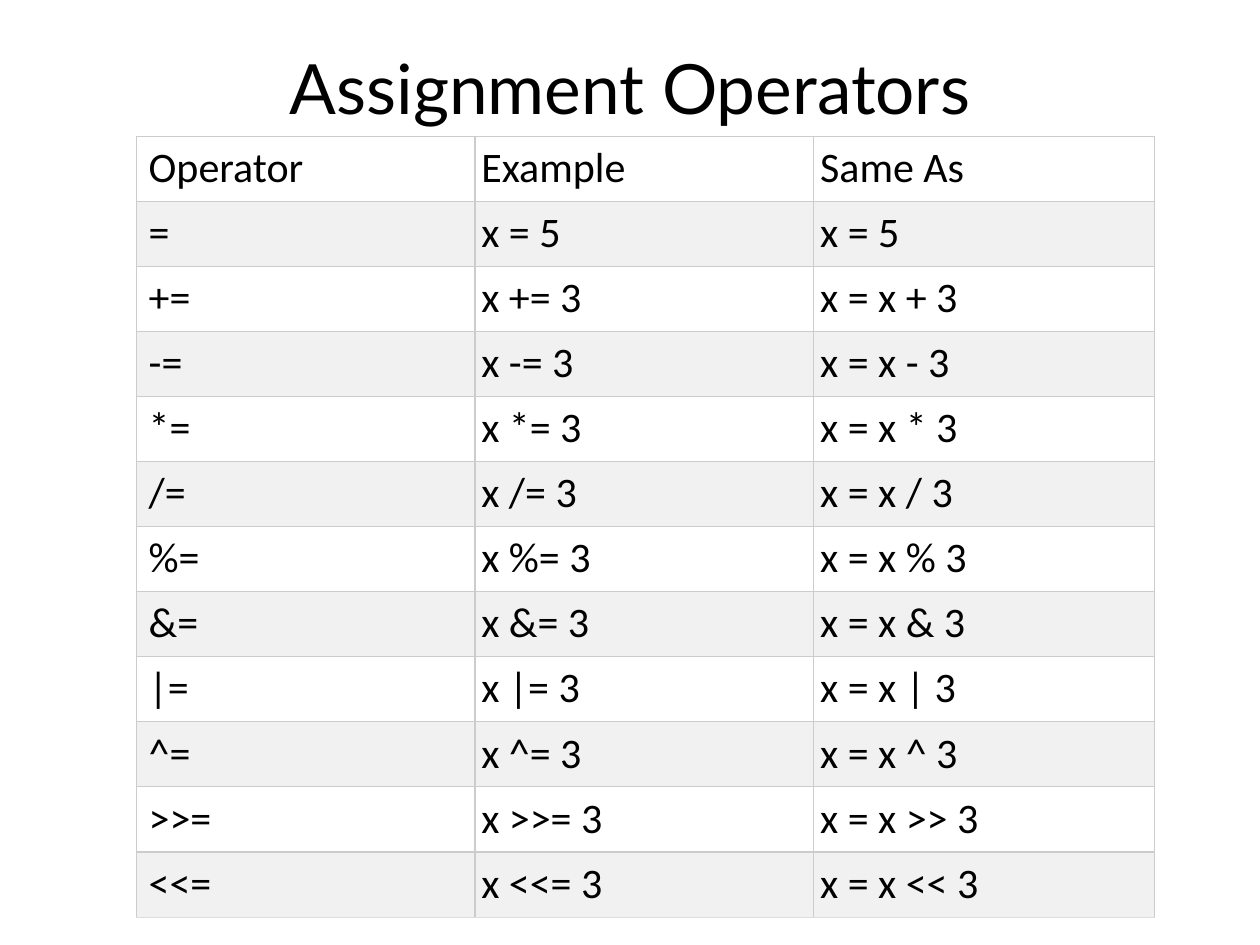
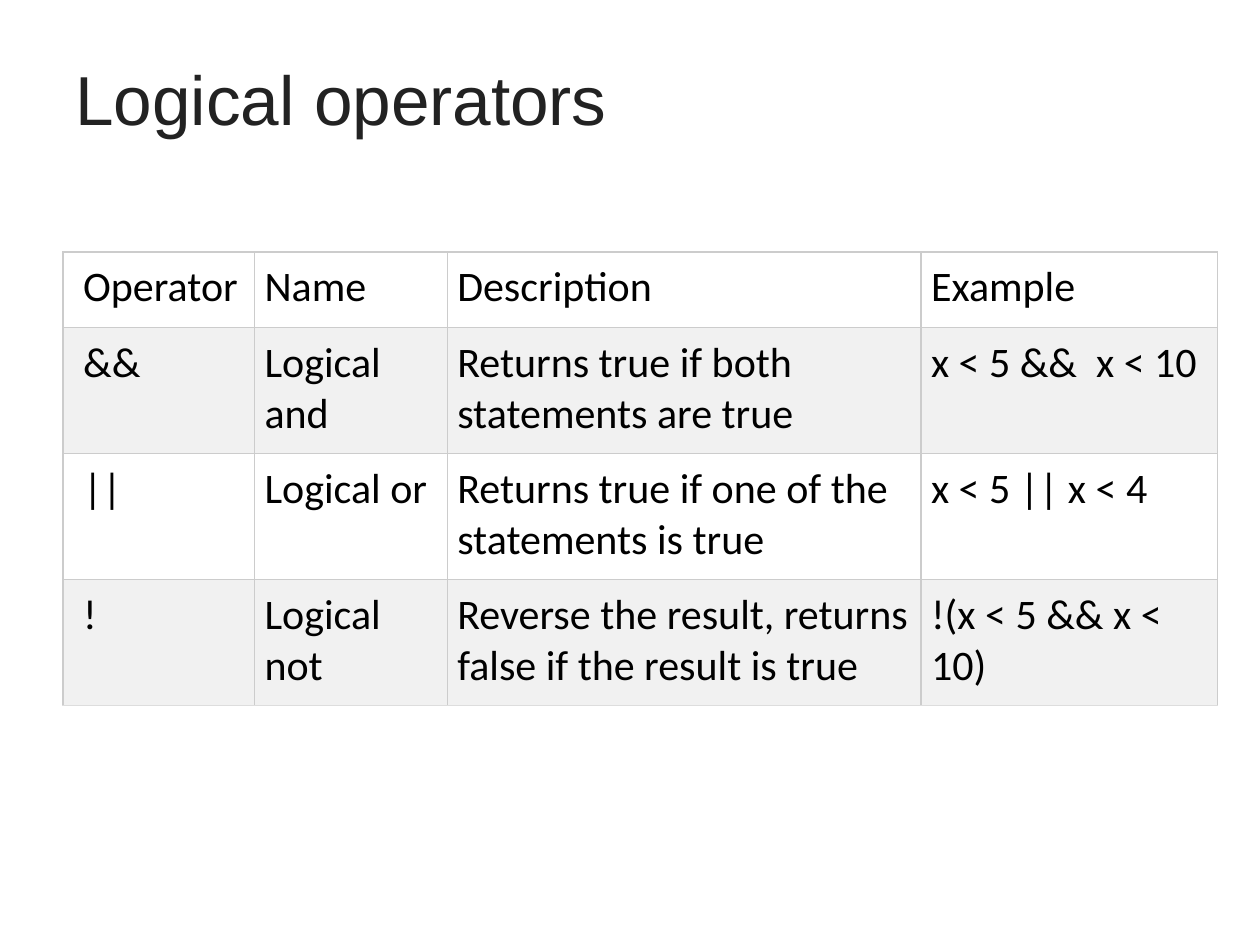
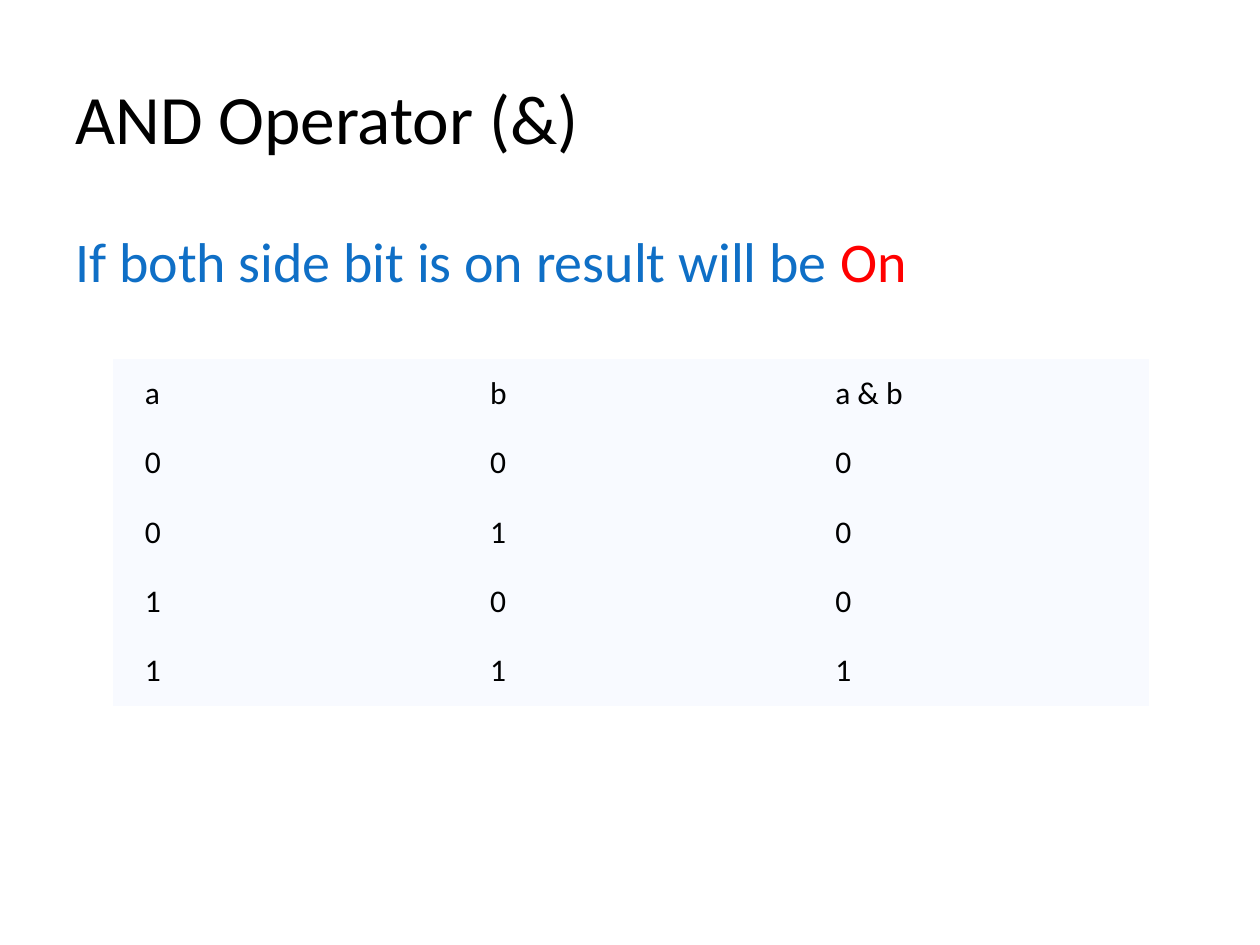
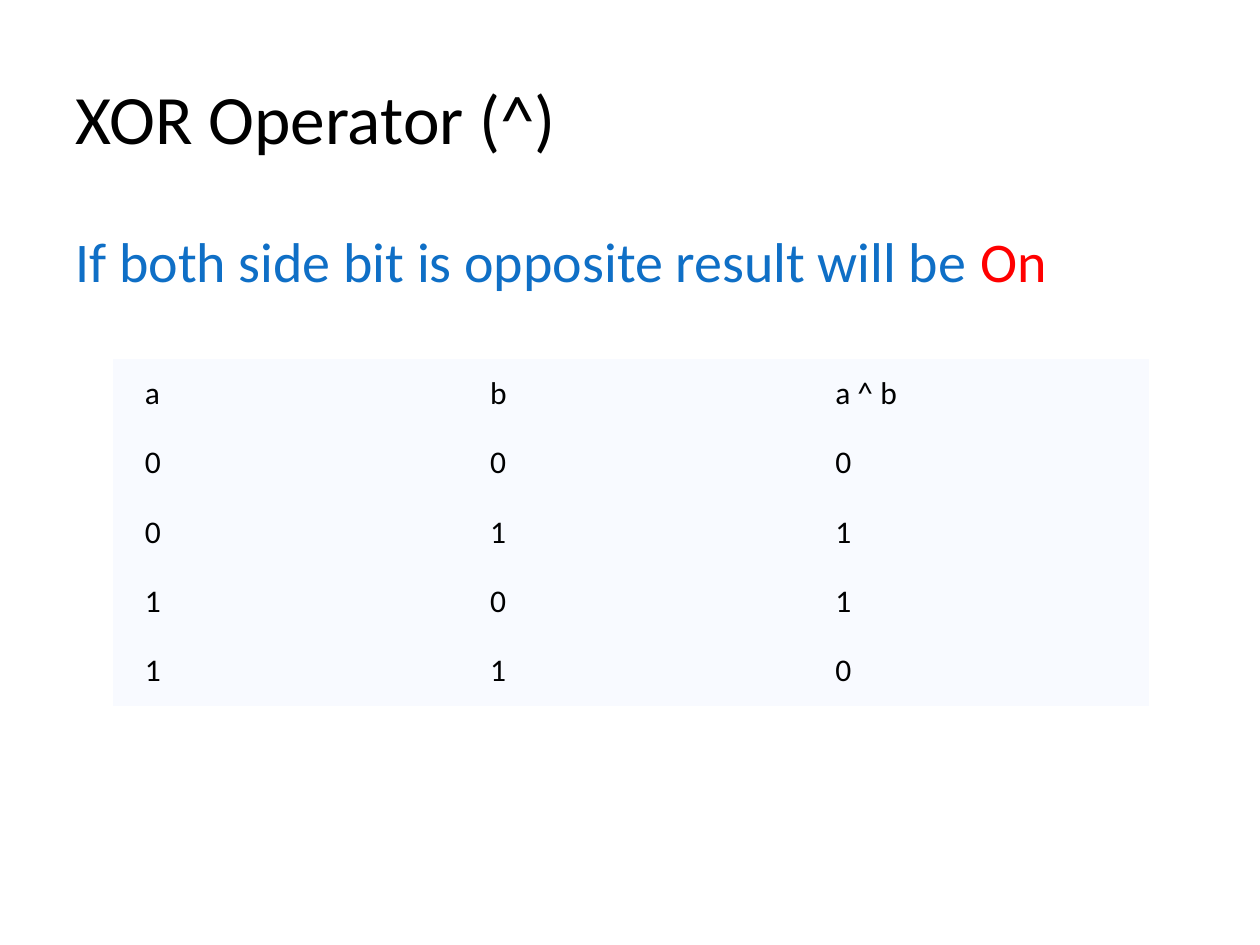
from itertools import product
from pptx import Presentation
from pptx.dml.color import RGBColor
from pptx.enum.text import MSO_ANCHOR, PP_ALIGN
from pptx.oxml import parse_xml
from pptx.oxml.ns import nsdecls
from pptx.util import Inches, Pt

BLACK = RGBColor(0x00, 0x00, 0x00)
DARK = RGBColor(0x22, 0x22, 0x22)
WHITE = RGBColor(0xFF, 0xFF, 0xFF)
GREY = RGBColor(0xF1, 0xF1, 0xF1)
RULE = RGBColor(0xCC, 0xCC, 0xCC)
BASE = RGBColor(0xDD, 0xDD, 0xDD)
PALE = RGBColor(0xF8, 0xFA, 0xFF)
BLUE = RGBColor(0x0F, 0x6F, 0xC6)
RED = RGBColor(0xFF, 0x00, 0x00)

LEFT, WIDTH = 0.5, 9
TITLE_TOP = 0.3

deck = Presentation()
deck.slide_width, deck.slide_height = Inches(10), Inches(7.5)


def new_slide():
    return deck.slides.add_slide(deck.slide_layouts[6])


def style(run, size, color, font="Calibri"):
    run.font.size = Pt(size)
    run.font.name = font
    run.font.color.rgb = color


def text_box(slide, top, height, anchor):
    """Add a wrapping text box across the shared margins."""
    box = slide.shapes.add_textbox(
        Inches(LEFT), Inches(top), Inches(WIDTH), Inches(height))
    frame = box.text_frame
    frame.word_wrap = True
    frame.vertical_anchor = anchor
    return frame


def add_title(slide, text, height, font="Calibri", color=BLACK,
              align=PP_ALIGN.LEFT):
    frame = text_box(slide, TITLE_TOP, height, MSO_ANCHOR.MIDDLE)
    frame.text = text
    para = frame.paragraphs[0]
    para.alignment = align
    style(para.runs[0], 39.6, color, font)


def add_rule(slide, text, result):
    """Add the sentence that states when the bit is on."""
    para = text_box(slide, 1.75, 4.95, MSO_ANCHOR.TOP).paragraphs[0]
    for part, color in ((text, BLUE), (result, RED)):
        run = para.add_run()
        run.text = part
        style(run, 32, color)


def set_border(cell, side, color):
    """Draw one cell edge, or clear it when there is no colour."""
    paint = (f'<a:solidFill><a:srgbClr val="{color}"/></a:solidFill>'
             if color else "<a:noFill/>")
    cell._tc.get_or_add_tcPr().append(parse_xml(
        f'<a:ln{side} {nsdecls("a")} w="{Pt(0.75)}">{paint}</a:ln{side}>'))


def add_grid(slide, left, top, cols, heights, rows, fills, insets, size,
             lines=True, anchor=MSO_ANCHOR.TOP):
    """Add a table; insets are first column left, other left, right, top."""
    table = slide.shapes.add_table(
        len(rows), len(cols), Inches(left), Inches(top),
        Inches(sum(cols)), Inches(sum(heights))).table
    table.first_row = table.horz_banding = False
    for col, width in zip(table.columns, cols):
        col.width = Inches(width)
    first, other, right, edge = insets
    last = len(rows) - 1
    for r, (row, height) in enumerate(zip(rows, heights)):
        table.rows[r].height = Inches(height)
        for c, text in enumerate(row):
            cell = table.cell(r, c)
            cell.text = text
            style(cell.text_frame.paragraphs[0].runs[0], size, BLACK)
            cell.vertical_anchor = anchor
            cell.margin_left = Inches(other if c else first)
            cell.margin_right = Inches(right)
            cell.margin_top = cell.margin_bottom = Inches(edge)
            for side in "LRTB":
                ink = BASE if side == "B" and r == last else RULE
                set_border(cell, side, ink if lines else None)
            cell.fill.solid()
            cell.fill.fore_color.rgb = fills[r % len(fills)]


def assign_slide():
    slide = new_slide()
    add_title(slide, "Assignment Operators", 0.78, "Lato",
              align=PP_ALIGN.CENTER)
    signs = ["+", "-", "*", "/", "%", "&", "|", "^", ">>", "<<"]
    rows = [("Operator", "Example", "Same As"), ("=", "x = 5", "x = 5")]
    rows += [(f"{s}=", f"x {s}= 3", f"x = x {s} 3") for s in signs]
    add_grid(slide, 1.08, 1.08, [2.69, 2.69, 2.7], [6.2 / 12] * 12, rows,
             [WHITE, GREY], (0.1, 0.05, 0.05, 0.05), 24)


def logic_slide():
    slide = new_slide()
    add_title(slide, "Logical\u00a0operators", 0.95, "Arial", DARK)
    rows = [
        ("Operator", "Name", "Description", "Example"),
        ("&&\u00a0", "Logical and",
         "Returns true if both statements are true",
         "x < 5 &&\u00a0 x < 10"),
        ("||\u00a0", "Logical or",
         "Returns true if one of the statements is true",
         "x < 5 || x < 4"),
        ("!", "Logical not",
         "Reverse the result, returns false if the result is true",
         "!(x < 5 && x < 10)"),
    ]
    add_grid(slide, LEFT, 2, [1.52, 1.53, 3.76, 2.35], [0.6, 1, 1, 1], rows,
             [WHITE, GREY], (0.16, 0.08, 0.08, 0.08), 24)


def bit_slide(name, sign, state, rule):
    """Add a bitwise operator with its truth table."""
    slide = new_slide()
    add_title(slide, f"{name} Operator ({sign})", 1.25)
    add_rule(slide, f"If both side bit is {state} result will be ", "On")
    rows = [("a", "b", f"a {sign} b")]
    rows += [(str(a), str(b), str(rule(a, b)))
             for a, b in product((0, 1), repeat=2)]
    add_grid(slide, 0.9, 2.85, [2.74] * 3, [0.55] * 5, rows, [PALE],
             (0.25, 0.25, 0.25, 0.12), 18, False, MSO_ANCHOR.MIDDLE)


assign_slide()
logic_slide()
bit_slide("AND", "&", "on", lambda a, b: a & b)
bit_slide("XOR", "^", "opposite", lambda a, b: a ^ b)
deck.save("out.pptx")
